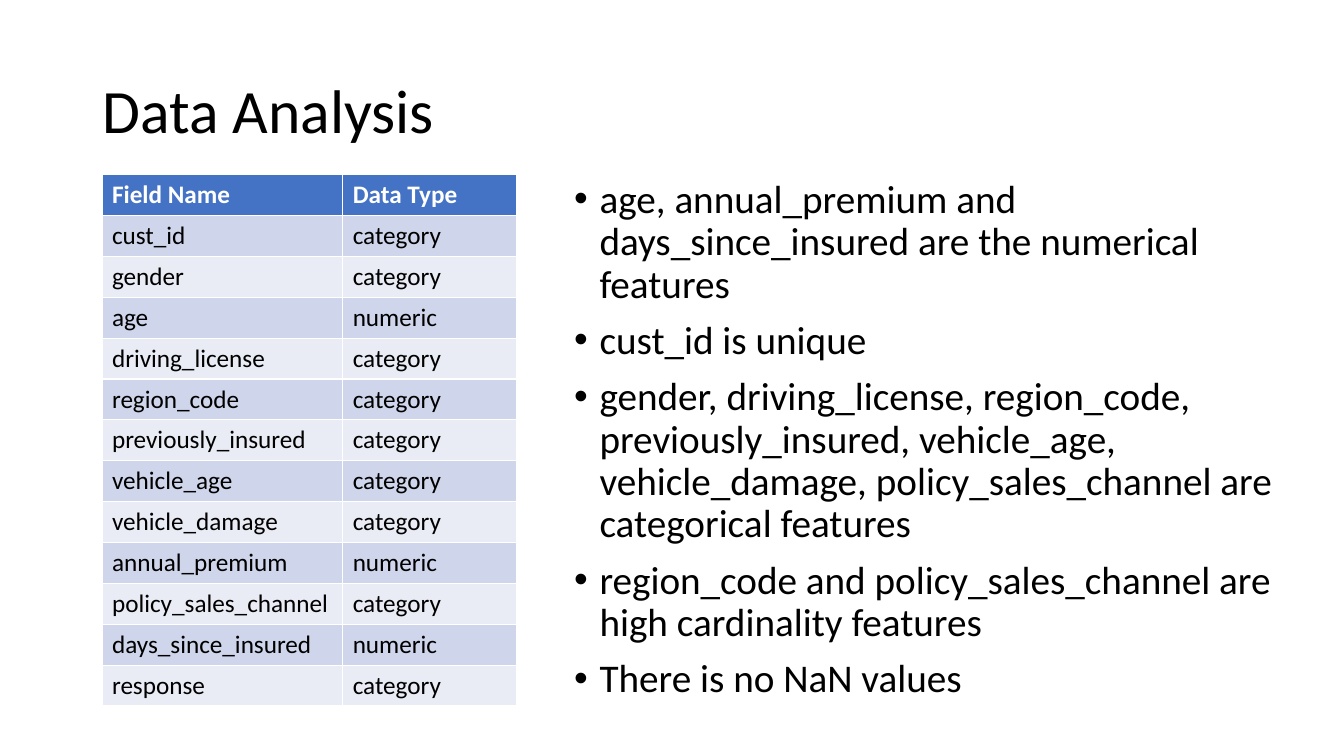
from dataclasses import dataclass

from lxml import etree
from pptx import Presentation
from pptx.dml.color import RGBColor
from pptx.enum import text
from pptx.oxml import ns
from pptx.util import Cm, Pt


@dataclass(frozen=True)
class Theme:
    font: str = "Calibri"
    ink: str = "000000"
    header_ink: str = "FFFFFF"
    header_fill: str = "4472C4"
    bands: tuple = ("CFD5EA", "E9EBF5")
    title_size: int = 44
    body_size: int = 28
    table_size: int = 18
    line_spacing: float = 0.9


THEME = Theme()
TITLE = "Data Analysis"
HEADER = ("Field Name", "Data Type")
FIELDS = (
    ("cust_id", "category"),
    ("gender", "category"),
    ("age", "numeric"),
    ("driving_license", "category"),
    ("region_code", "category"),
    ("previously_insured", "category"),
    ("vehicle_age", "category"),
    ("vehicle_damage", "category"),
    ("annual_premium", "numeric"),
    ("policy_sales_channel", "category"),
    ("days_since_insured", "numeric"),
    ("response", "category"),
)
FINDINGS = (
    "age, annual_premium and days_since_insured are the numerical features",
    "cust_id is unique",
    "gender, driving_license, region_code, previously_insured, vehicle_age, "
    "vehicle_damage, policy_sales_channel are categorical features",
    "region_code and policy_sales_channel are high cardinality features",
    "There is no NaN values",
)


def set_values(target, values):
    for name, value in values.items():
        setattr(target, name, value)


def write(paragraph, words, size, color=THEME.ink, bold=False):
    """Put one formatted run into the paragraph."""
    run = paragraph.add_run()
    run.text = words
    set_values(run.font, {"name": THEME.font, "size": Pt(size), "bold": bold})
    run.font.color.rgb = RGBColor.from_string(color)


def add_bullet(paragraph, indent):
    properties = paragraph._p.get_or_add_pPr()
    properties.set("marL", str(indent))
    properties.set("indent", str(-indent))
    etree.SubElement(properties, ns.qn("a:buFont")).set("typeface", "Arial")
    etree.SubElement(properties, ns.qn("a:buChar")).set("char", "•")


def place_title(slide, left, top, width, height):
    title = slide.shapes.title
    set_values(title, {"left": left, "top": top, "width": width, "height": height})
    set_values(title.text_frame, {
        "vertical_anchor": text.MSO_ANCHOR.MIDDLE,
        "auto_size": text.MSO_AUTO_SIZE.NONE,
        "word_wrap": True,
    })
    paragraph = title.text_frame.paragraphs[0]
    set_values(paragraph, {
        "alignment": text.PP_ALIGN.LEFT,
        "line_spacing": THEME.line_spacing,
    })
    write(paragraph, TITLE, THEME.title_size)


def add_field_table(slide, left, top, width, height):
    rows = (HEADER, *FIELDS)
    table = slide.shapes.add_table(
        len(rows), len(HEADER), left, top, width, height).table
    name_width = int(width * 0.58)
    table.columns[0].width = name_width
    table.columns[1].width = width - name_width
    for row_index, row in enumerate(rows):
        is_header = row_index == 0
        fill = THEME.header_fill if is_header else THEME.bands[(row_index - 1) % 2]
        ink = THEME.header_ink if is_header else THEME.ink
        for column_index, words in enumerate(row):
            cell = table.cell(row_index, column_index)
            cell.fill.solid()
            cell.fill.fore_color.rgb = RGBColor.from_string(fill)
            write(cell.text_frame.paragraphs[0], words, THEME.table_size, ink, is_header)


def add_findings(slide, left, top, width, height):
    frame = slide.shapes.add_textbox(left, top, width, height).text_frame
    frame.word_wrap = True
    for index, finding in enumerate(FINDINGS):
        paragraph = frame.add_paragraph() if index else frame.paragraphs[0]
        set_values(paragraph, {
            "line_spacing": THEME.line_spacing,
            "space_before": Pt(10),
        })
        add_bullet(paragraph, Cm(0.64))
        write(paragraph, finding, THEME.body_size)


def main():
    presentation = Presentation()
    set_values(presentation, {"slide_width": Cm(33.87), "slide_height": Cm(19.05)})
    title_only = presentation.slide_layouts.get_by_name("Title Only")
    slide = presentation.slides.add_slide(title_only)
    content_top = Cm(4.4)
    place_title(slide, Cm(2.33), Cm(1.01), Cm(29.21), Cm(3.68))
    add_field_table(slide, Cm(2.57), content_top, Cm(10.46), Cm(13.2))
    add_findings(slide, Cm(14.22), content_top, Cm(18.14), Cm(13.64))
    presentation.save("out.pptx")


if __name__ == "__main__":
    main()
